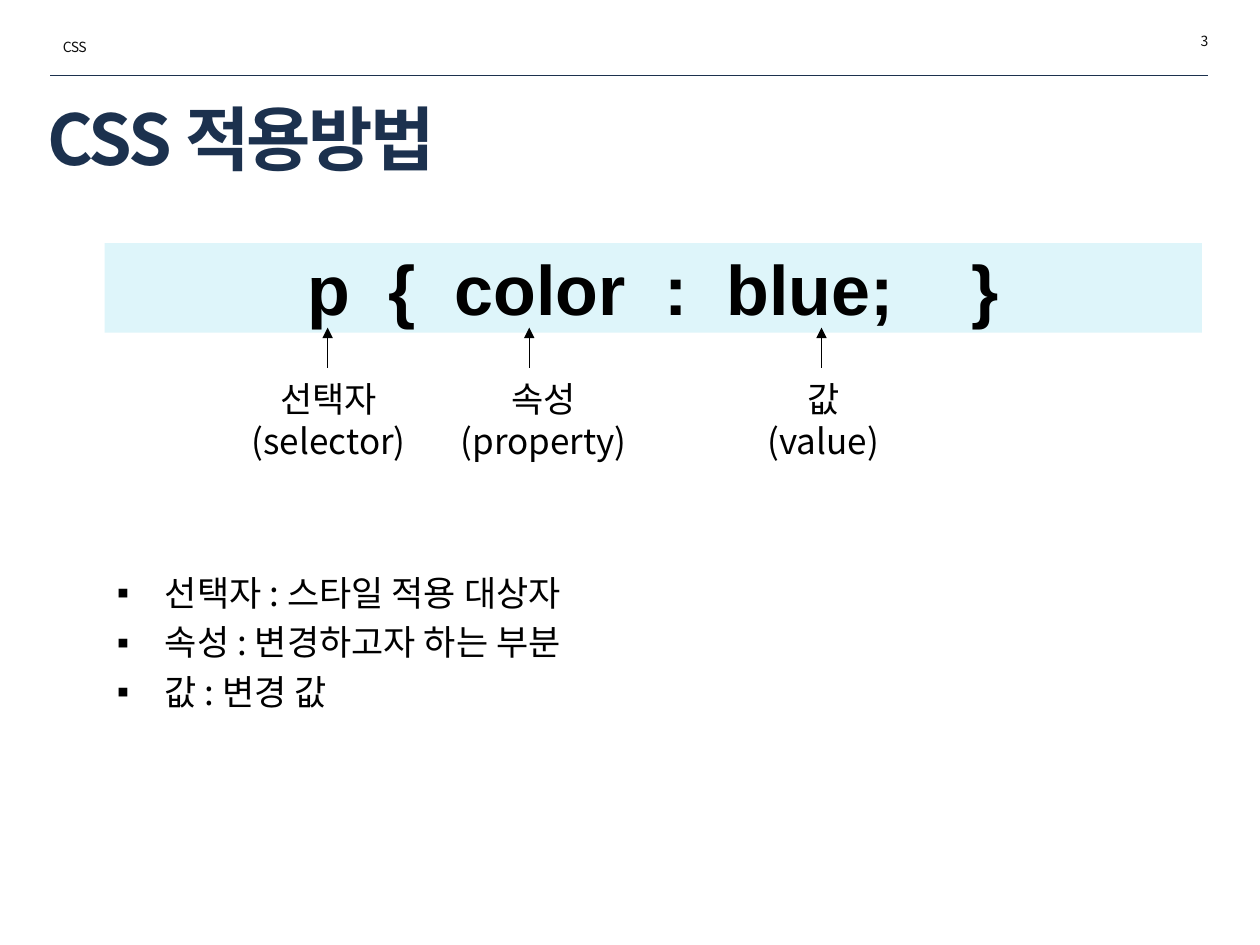
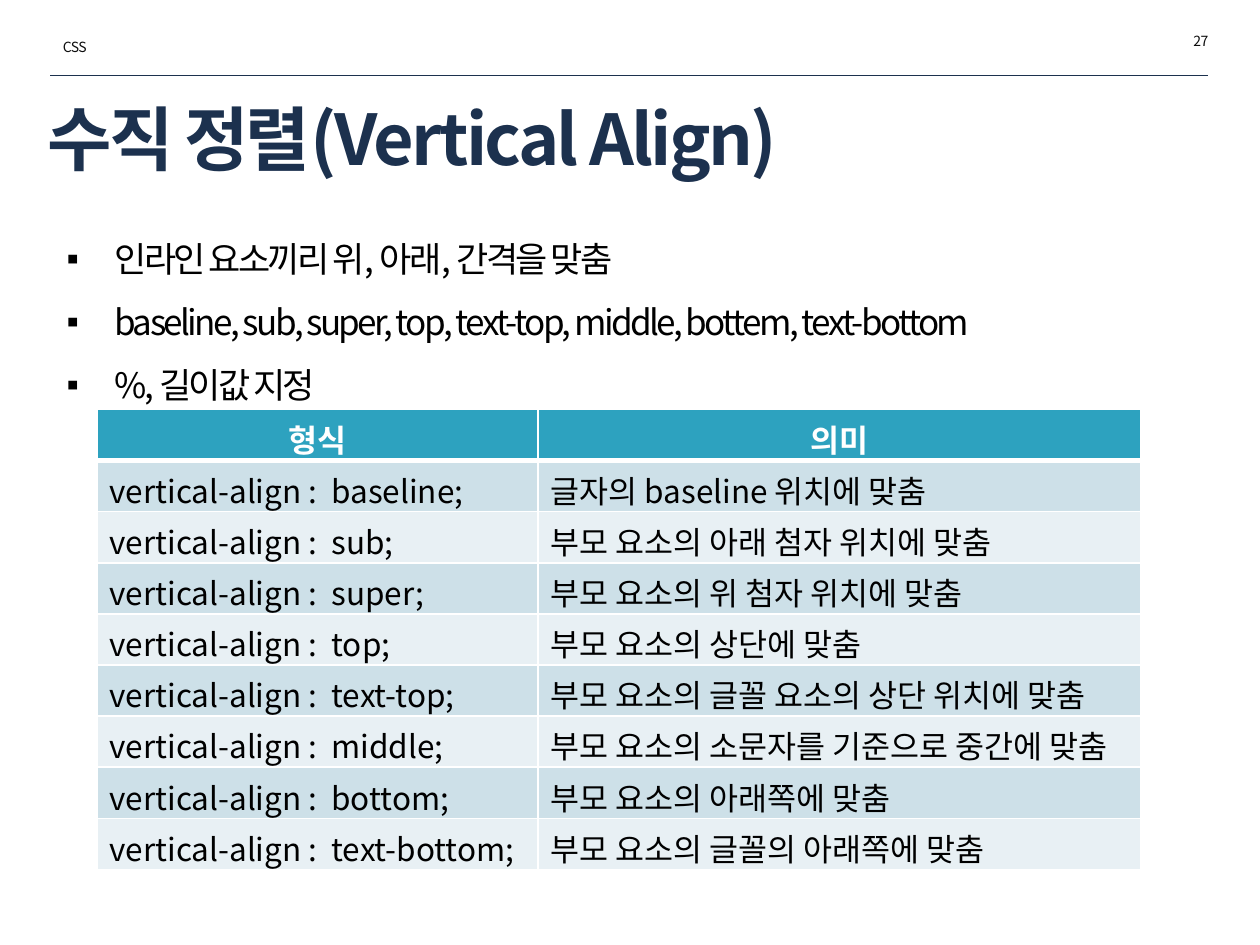
from dataclasses import dataclass
from lxml import etree
from pptx import Presentation
from pptx.dml.color import RGBColor
from pptx.enum.shapes import MSO_CONNECTOR, MSO_SHAPE
from pptx.enum.text import MSO_ANCHOR, PP_ALIGN
from pptx.oxml.ns import qn
from pptx.util import Inches, Pt

STRAIGHT = MSO_CONNECTOR.STRAIGHT
RECTANGLE = MSO_SHAPE.RECTANGLE
MIDDLE = MSO_ANCHOR.MIDDLE
LEFT, CENTER, RIGHT = PP_ALIGN.LEFT, PP_ALIGN.CENTER, PP_ALIGN.RIGHT


@dataclass(frozen=True)
class Theme:
    font: str = "Noto Sans CJK KR"
    code_font: str = "Arial"
    navy: str = "1C314E"
    black: str = "000000"
    white: str = "FFFFFF"
    small_print: str = "0D0D0D"
    code_band: str = "DEF5FA"
    header_row: str = "2DA2BF"
    body_rows: tuple = ("CDE0E8", "E8F0F4")
    title_size: int = 40
    body_size: int = 20
    table_size: int = 18
    small_size: int = 8


theme = Theme()
TITLE = dict(size=theme.title_size, color=theme.navy, bold=True, spacing=-1.5)
SMALL = dict(size=theme.small_size, color=theme.small_print, spacing=-0.3)
HEADER_CELL = dict(size=theme.table_size, color=theme.white, bold=True, align=CENTER)
BODY_CELL = dict(size=theme.table_size)


def write_text(frame, lines, size=theme.body_size, color=theme.black, bold=False,
               font=theme.font, align=LEFT, spacing=0, bullet_indent=None,
               paragraph_format=None):
    """Write one paragraph per line; spacing is letter spacing in points."""
    frame.word_wrap = True
    for index, line in enumerate(lines):
        paragraph = frame.add_paragraph() if index else frame.paragraphs[0]
        paragraph.text = line
        paragraph.alignment = align
        for name, value in (paragraph_format or {}).items():
            setattr(paragraph, name, value)
        if bullet_indent:
            properties = paragraph._p.get_or_add_pPr()
            properties.set("marL", str(Inches(bullet_indent)))
            properties.set("indent", str(Inches(-0.38)))
            bullet_color = etree.SubElement(properties, qn("a:buClr"))
            etree.SubElement(bullet_color, qn("a:srgbClr"), val=theme.black)
            etree.SubElement(properties, qn("a:buFont"), typeface=theme.code_font)
            etree.SubElement(properties, qn("a:buChar"), char="▪")
        for run in paragraph.runs:
            for name, value in dict(size=Pt(size), bold=bold, name=font).items():
                setattr(run.font, name, value)
            run.font.color.rgb = RGBColor.from_string(color)
            run_properties = run._r.get_or_add_rPr()
            etree.SubElement(run_properties, qn("a:ea"), typeface=font)
            if spacing:
                run_properties.set("spc", str(round(spacing * 100)))


def add_line(slide, start, end, color, width, arrow=False):
    line = slide.shapes.add_connector(STRAIGHT, *map(Inches, start + end))
    line.line.color.rgb = RGBColor.from_string(color)
    line.line.width = Pt(width)
    if arrow:
        etree.SubElement(line.line._get_or_add_ln(), qn("a:tailEnd"), type="triangle")
    etree.SubElement(line._element.spPr, qn("a:effectLst"))


presentation = Presentation()
presentation.slide_width, presentation.slide_height = Inches(10), Inches(7.5)

# Shared rule, title, page number and running header
slides = []
for title, number in (("CSS 적용방법", "3"), ("수직 정렬(Vertical Align)", "27")):
    slide = presentation.slides.add_slide(presentation.slide_layouts[6])
    slides.append(slide)
    add_line(slide, (0.4, 0.6), (9.59, 0.6), theme.navy, 0.25)
    title_box = slide.shapes.add_textbox(*map(Inches, (0.28, 0.77, 9.26, 0.64)))
    title_box.text_frame.vertical_anchor = MIDDLE
    write_text(title_box.text_frame, [title], **TITLE)
    for text, left, top, align in ((number, 7.96, 0.21, RIGHT), ("CSS", 0.4, 0.26, LEFT)):
        small_box = slide.shapes.add_textbox(*map(Inches, (left, top, 1.73, 0.24)))
        write_text(small_box.text_frame, [text], align=align, **SMALL)

syntax_slide, align_slide = slides

# Anatomy of a CSS rule
band = syntax_slide.shapes.add_shape(RECTANGLE, *map(Inches, (0.83, 1.93, 8.71, 0.71)))
band.shadow.inherit = False
band.fill.solid()
band.fill.fore_color.rgb = RGBColor.from_string(theme.code_band)
band.line.fill.background()
band.text_frame.vertical_anchor = MIDDLE
write_text(band.text_frame, ["p  {  color  :  blue;    }"], size=theme.title_size,
           bold=True, font=theme.code_font, align=CENTER)

rule_parts = (
    ("선택자\v(selector)", 1.81, 1.6, 2.6),
    ("속성\v(property)", 3.47, 1.69, 4.2),
    ("값\v(value)", 5.9, 1.27, 6.52),
)
for label, left, width, arrow_x in rule_parts:
    label_box = syntax_slide.shapes.add_textbox(*map(Inches, (left, 2.95, width, 0.77)))
    write_text(label_box.text_frame, [label], align=CENTER)
    add_line(syntax_slide, (arrow_x, 2.92), (arrow_x, 2.6), theme.black, 0.75, arrow=True)

definitions = syntax_slide.shapes.add_textbox(*map(Inches, (0.83, 4.49, 8.49, 1.95)))
write_text(definitions.text_frame,
           ["선택자 : 스타일 적용 대상자", "속성 : 변경하고자 하는 부분", "값 : 변경 값"],
           bullet_indent=0.38, paragraph_format=dict(space_before=Pt(4)))

# Vertical alignment values
summary = align_slide.shapes.add_textbox(*map(Inches, (0.4, 1.67, 9.19, 1.85)))
write_text(summary.text_frame,
           ["인라인 요소끼리 위, 아래, 간격을 맞춤",
            "baseline, sub, super, top, text-top, middle, bottem, text-bottom",
            "%, 길이값 지정"],
           spacing=-1.5, bullet_indent=0.41, paragraph_format=dict(line_spacing=1.5))

meanings = {
    "baseline": "글자의 baseline 위치에 맞춤",
    "sub": "부모 요소의 아래 첨자 위치에 맞춤",
    "super": "부모 요소의 위 첨자 위치에 맞춤",
    "top": "부모 요소의 상단에 맞춤",
    "text-top": "부모 요소의 글꼴 요소의 상단 위치에 맞춤",
    "middle": "부모 요소의 소문자를 기준으로 중간에 맞춤",
    "bottom": "부모 요소의 아래쪽에 맞춤",
    "text-bottom": "부모 요소의 글꼴의 아래쪽에 맞춤",
}
rows = [("형식", "의미")]
rows += [(f"vertical-align :  {value};", meaning) for value, meaning in meanings.items()]
table = align_slide.shapes.add_table(
    len(rows), 2, *map(Inches, (0.77, 3.25, 8.28, 3.65))).table
for column, width in zip(table.columns, (3.5, 4.78)):
    column.width = Inches(width)
for row_index, row in enumerate(rows):
    fill = theme.body_rows[(row_index - 1) % 2] if row_index else theme.header_row
    border_widths = dict(L=1, R=1, T=3 if row_index == 1 else 1, B=1 if row_index else 3)
    for column_index, text in enumerate(row):
        cell = table.cell(row_index, column_index)
        write_text(cell.text_frame, [text], **(BODY_CELL if row_index else HEADER_CELL))
        cell_properties = cell._tc.get_or_add_tcPr()
        for side, width in border_widths.items():
            border = etree.SubElement(cell_properties, qn(f"a:ln{side}"), w=str(Pt(width)))
            border_fill = etree.SubElement(border, qn("a:solidFill"))
            etree.SubElement(border_fill, qn("a:srgbClr"), val=theme.white)
        cell.fill.solid()
        cell.fill.fore_color.rgb = RGBColor.from_string(fill)

presentation.save("out.pptx")
